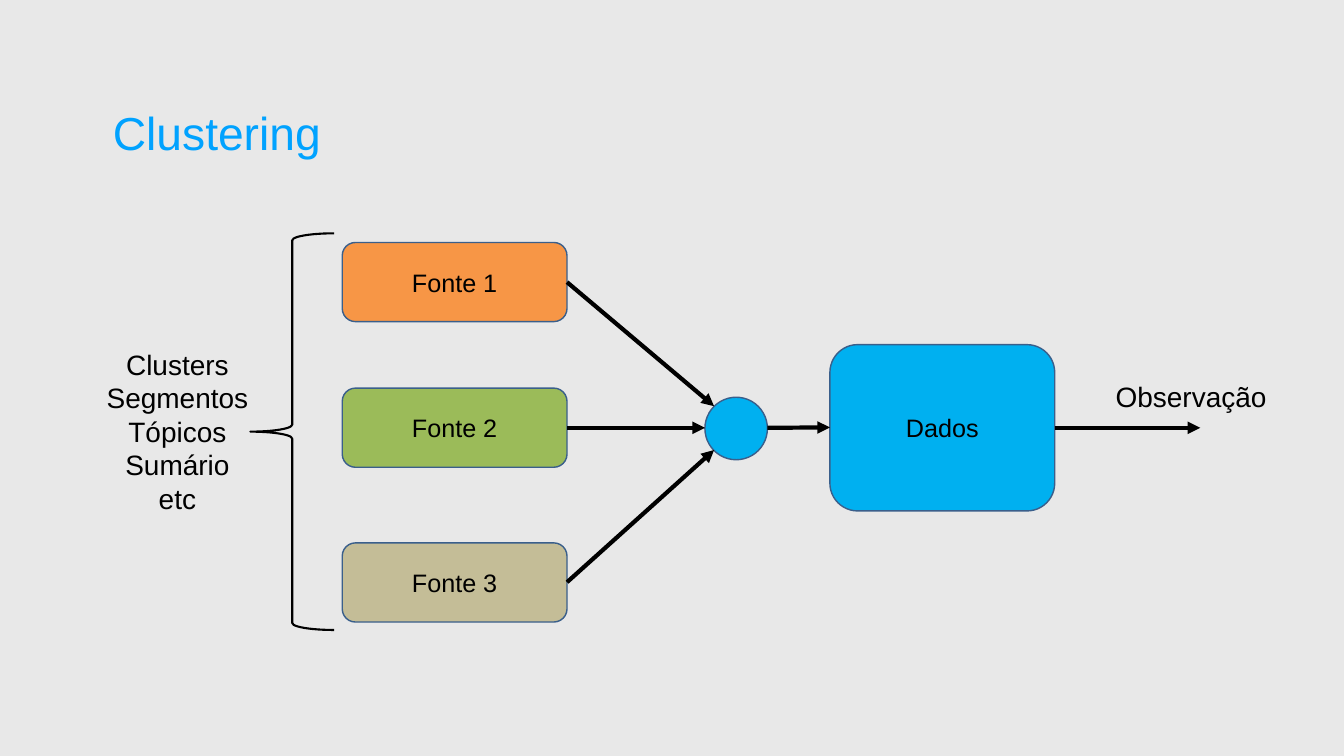
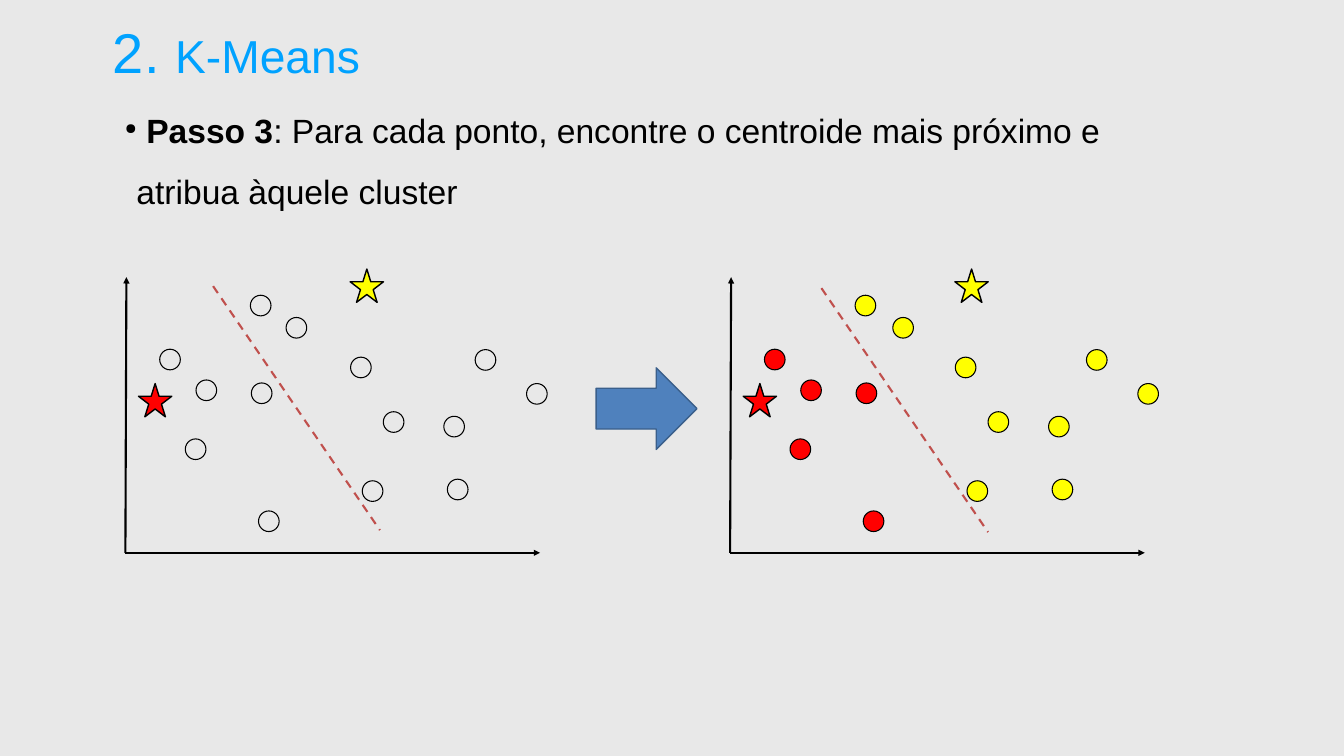
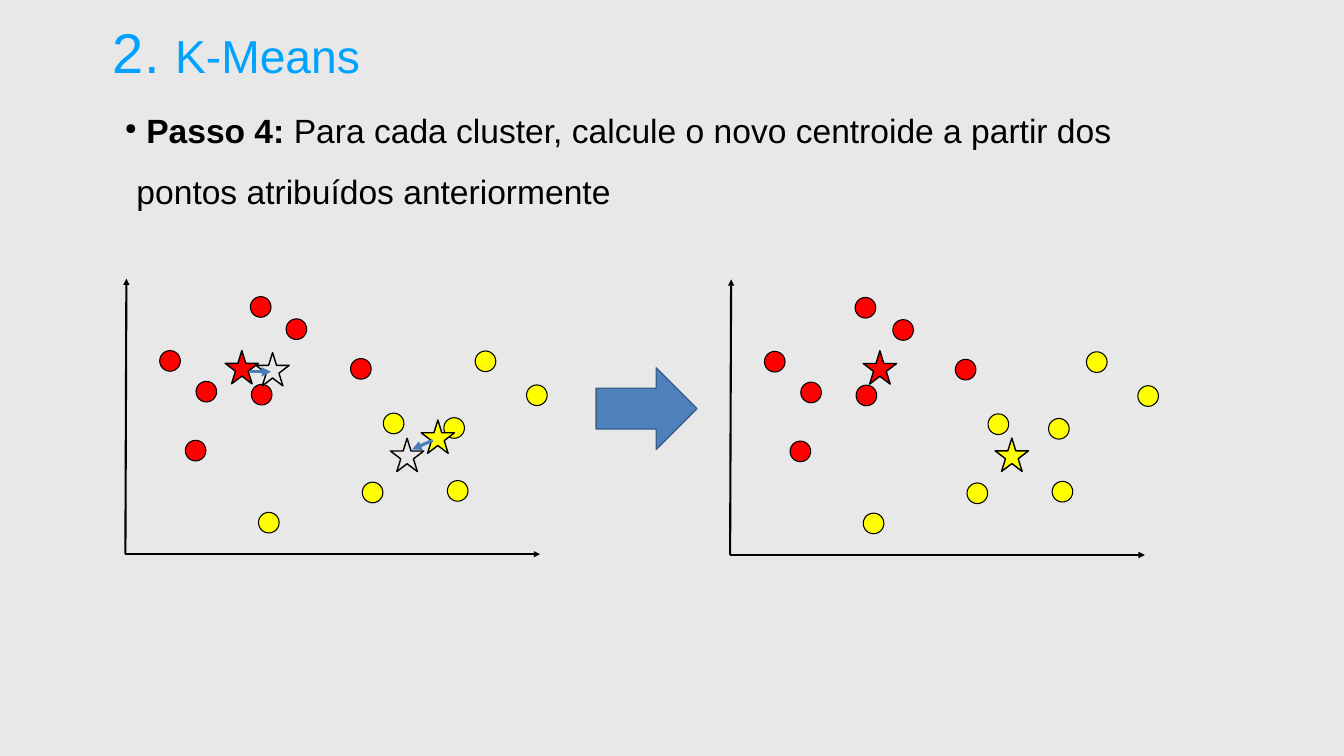
from lxml import etree
from pptx import Presentation
from pptx import util as u
from pptx.dml.color import RGBColor
from pptx.enum import dml, shapes, text
from pptx.oxml import ns

# Shared look
FONT = "Arial"
BACKDROP = RGBColor(0xE8, 0xE8, 0xE8)
TITLE_BLUE = RGBColor(0x00, 0xA2, 0xFF)
BLACK = RGBColor(0x00, 0x00, 0x00)
OUTLINE = RGBColor(0x3A, 0x5F, 0x8B)
SKY = RGBColor(0x00, 0xB0, 0xF0)
ORANGE = RGBColor(0xF7, 0x96, 0x46)
GREEN = RGBColor(0x9B, 0xBB, 0x59)
TAN = RGBColor(0xC4, 0xBD, 0x97)
RED = RGBColor(0xFF, 0x00, 0x00)
YELLOW = RGBColor(0xFF, 0xFF, 0x00)
STEP_BLUE = RGBColor(0x4F, 0x81, 0xBD)
MOVE_BLUE = RGBColor(0x4A, 0x7E, 0xBB)
BOUNDARY_RED = RGBColor(0xC0, 0x50, 0x4D)

# Plot geometry in cm: offsets run right and up from the axes' origin
LEFT_PLOT, RIGHT_PLOT = 6.32, 36.8
POINT_SIZE, STAR_SIZE = 1.04, 1.68
POINTS = [
    (3.56, 8.71), (1.73, 10.26), (6.35, 8.56), (3.02, 5.74), (6.71, 2.11),
    (16.23, 3.71), (8.1, 11.86), (13, 7.11), (11.94, 3.63), (17.63, 10.24),
    (16.05, 6.88), (20.22, 8.53), (6.3, 12.98), (11.35, 9.86),
]
RIGHT_NUDGES = {6: 0.1, 9: 0.33, 11: 0.33}
NEAR_RED_FIRST = {0, 1, 2, 3, 4}
NEAR_RED_NEXT = {0, 1, 2, 3, 6, 12, 13}


def add_block(slide, preset, box, fill=None, line=OUTLINE, weight=2):
    block = slide.shapes.add_shape(preset, *map(u.Cm, box))
    block.shadow.inherit = False
    if fill is None:
        block.fill.background()
    else:
        block.fill.solid()
        block.fill.fore_color.rgb = fill
    block.line.color.rgb = line
    block.line.width = u.Pt(weight)
    return block


def add_run(paragraph, words, size, color=BLACK, bold=None):
    run = paragraph.add_run()
    run.text = words
    run.font.name = FONT
    run.font.size = u.Pt(size)
    run.font.color.rgb = color
    run.font.bold = bold


def add_text(slide, box, margin=None, anchor=text.MSO_ANCHOR.TOP):
    frame = slide.shapes.add_textbox(*map(u.Cm, box)).text_frame
    frame.word_wrap = True
    frame.vertical_anchor = anchor
    if margin is not None:
        frame.margin_left = frame.margin_right = u.Cm(margin)
        frame.margin_top = frame.margin_bottom = u.Cm(margin)
    return frame


def add_title(slide, top, height, runs):
    frame = add_text(slide, (5.54, top, 39.65, height), 0.15, text.MSO_ANCHOR.MIDDLE)
    for words, size in runs:
        add_run(frame.paragraphs[0], words, size, TITLE_BLUE)


def add_step(slide, heading, explanation):
    paragraph = add_text(slide, (5.54, 4.39, 55.65, 5.36), 0.15).paragraphs[0]
    paragraph.level = 1
    paragraph.line_spacing = 1.5
    props = paragraph._p.get_or_add_pPr()
    props.set("marL", str(u.Cm(1.19)))
    props.set("indent", str(u.Cm(-0.58)))
    color = etree.SubElement(props, ns.qn("a:buClr"))
    etree.SubElement(color, ns.qn("a:srgbClr"), val=str(BLACK))
    etree.SubElement(props, ns.qn("a:buSzPct"), val="45000")
    etree.SubElement(props, ns.qn("a:buChar"), char="●")
    add_run(paragraph, " ", 48)
    add_run(paragraph, heading, 48, bold=True)
    add_run(paragraph, explanation, 48, bold=False)


def add_line(slide, start, end, color=BLACK, weight=3.0, arrow=True):
    line = slide.shapes.add_connector(
        shapes.MSO_CONNECTOR.STRAIGHT, *map(u.Cm, (*start, *end)))
    line.line.color.rgb = color
    line.line.width = u.Pt(weight)
    if arrow:
        etree.SubElement(line.line._get_or_add_ln(), ns.qn("a:tailEnd"), type="triangle")
    else:
        line.line.dash_style = dml.MSO_LINE.DASH
    etree.SubElement(line._element.spPr, ns.qn("a:effectLst"))


def add_labelled_box(slide, box, fill, label):
    block = add_block(slide, shapes.MSO_SHAPE.ROUNDED_RECTANGLE, box, fill)
    block.text_frame.vertical_anchor = text.MSO_ANCHOR.MIDDLE
    paragraph = block.text_frame.paragraphs[0]
    paragraph.alignment = text.PP_ALIGN.CENTER
    add_run(paragraph, label, 36)


def add_plot(slide, left, base, red_points, stars, nudges=None, filled=True,
             boundary=None, moves=()):
    """Axes, data points, centroid stars, then boundary and centroid moves."""
    def at(offset):
        return left + offset[0], base - offset[1]

    for axis_end in ((0.05, 13.89), (20.9, 0)):
        add_line(slide, (left, base), at(axis_end))
    for index, (right, up) in enumerate(POINTS):
        right += (nudges or {}).get(index, 0)
        cluster = RED if index in red_points else YELLOW
        add_block(slide, shapes.MSO_SHAPE.OVAL,
                  (*at((right, up)), POINT_SIZE, POINT_SIZE),
                  cluster if filled else None, BLACK, 1.5)
    for offset, fill in stars:
        add_block(slide, shapes.MSO_SHAPE.STAR_5_POINT,
                  (*at(offset), STAR_SIZE, STAR_SIZE), fill, BLACK)
    if boundary:
        add_line(slide, *map(at, boundary), BOUNDARY_RED, arrow=False)
    for move in moves:
        add_line(slide, *map(at, move), MOVE_BLUE, 4.5)


def add_kmeans_slide(prs, heading, explanation):
    slide = prs.slides.add_slide(prs.slide_layouts[6])
    add_title(slide, 0.76, 3.66, [("2. ", 80), ("K-Means", 66)])
    add_step(slide, heading, explanation)
    add_block(slide, shapes.MSO_SHAPE.RIGHT_ARROW, (30.05, 18.54, 5.08, 4.11), STEP_BLUE)
    return slide


def build_clustering(prs):
    slide = prs.slides.add_slide(prs.slide_layouts[6])
    add_title(slide, 5.11, 3.07, [("Clustering", 66)])

    # Sources, mixing node and data
    add_labelled_box(slide, (41.83, 17.37, 11.33, 8.38), SKY, "Dados")
    sources = [(12.22, ORANGE), (19.56, GREEN), (27.36, TAN)]
    for number, (top, fill) in enumerate(sources, 1):
        add_labelled_box(slide, (17.25, top, 11.33, 3.99), fill, f"Fonte {number}")
    add_block(slide, shapes.MSO_SHAPE.OVAL, (35.53, 20.02, 3.15, 3.15), SKY)

    # Flow
    for start, end in [
        ((28.58, 14.22), (35.99, 20.47)),
        ((28.58, 21.56), (35.53, 21.56)),
        ((28.58, 29.34), (35.99, 22.68)),
        ((38.68, 21.56), (41.83, 21.54)),
        ((53.16, 21.56), (60.5, 21.56)),
    ]:
        add_line(slide, start, end, weight=6)
    observation = add_text(slide, (55.98, 19.02, 9.07, 1.93))
    add_run(observation.paragraphs[0], "Observação", 40)

    # Names for the hidden sources
    add_block(slide, shapes.MSO_SHAPE.LEFT_BRACE, (12.62, 11.76, 4.22, 19.99),
              line=BLACK, weight=3)
    names = add_text(slide, (1.42, 17.37, 15.04, 8.71))
    for index, name in enumerate(["Clusters", "Segmentos", "Tópicos", "Sumário", "etc"]):
        paragraph = names.add_paragraph() if index else names.paragraphs[0]
        paragraph.alignment = text.PP_ALIGN.CENTER
        add_run(paragraph, name, 40)


def build_assignment(prs):
    slide = add_kmeans_slide(
        prs, "Passo 3",
        ": Para cada ponto, encontre o centroide mais próximo e atribua àquele cluster")
    centroids = [((0.66, 8.53), RED), ((11.33, 14.3), YELLOW)]
    add_plot(slide, LEFT_PLOT, 27.86, NEAR_RED_FIRST, centroids, filled=False,
             boundary=((4.42, 13.44), (12.83, 1.14)))
    add_plot(slide, RIGHT_PLOT, 27.86, NEAR_RED_FIRST, centroids, RIGHT_NUDGES,
             boundary=((4.6, 13.34), (13, 1.04)))


def build_update(prs):
    slide = add_kmeans_slide(
        prs, "Passo 4: ",
        "Para cada cluster, calcule o novo centroide a partir dos pontos "
        "atribuídos anteriormente")
    add_plot(slide, LEFT_PLOT, 27.93, NEAR_RED_NEXT,
             [((5.03, 10.26), RED), ((14.91, 6.76), YELLOW),
              ((13.36, 5.84), None), ((6.58, 10.16), None)],
             moves=[((6.3, 9.19), (7.34, 9.19)), ((15.49, 5.74), (14.45, 5.28))])
    add_plot(slide, RIGHT_PLOT, 27.97, NEAR_RED_NEXT,
             [((6.71, 10.29), RED), ((13.36, 5.89), YELLOW)], RIGHT_NUDGES)


def main():
    prs = Presentation()
    prs.slide_width, prs.slide_height = u.Cm(67.74), u.Cm(38.1)
    backdrop = prs.slide_master.background.fill
    backdrop.solid()
    backdrop.fore_color.rgb = BACKDROP
    build_clustering(prs)
    build_assignment(prs)
    build_update(prs)
    prs.save("out.pptx")


if __name__ == "__main__":
    main()
